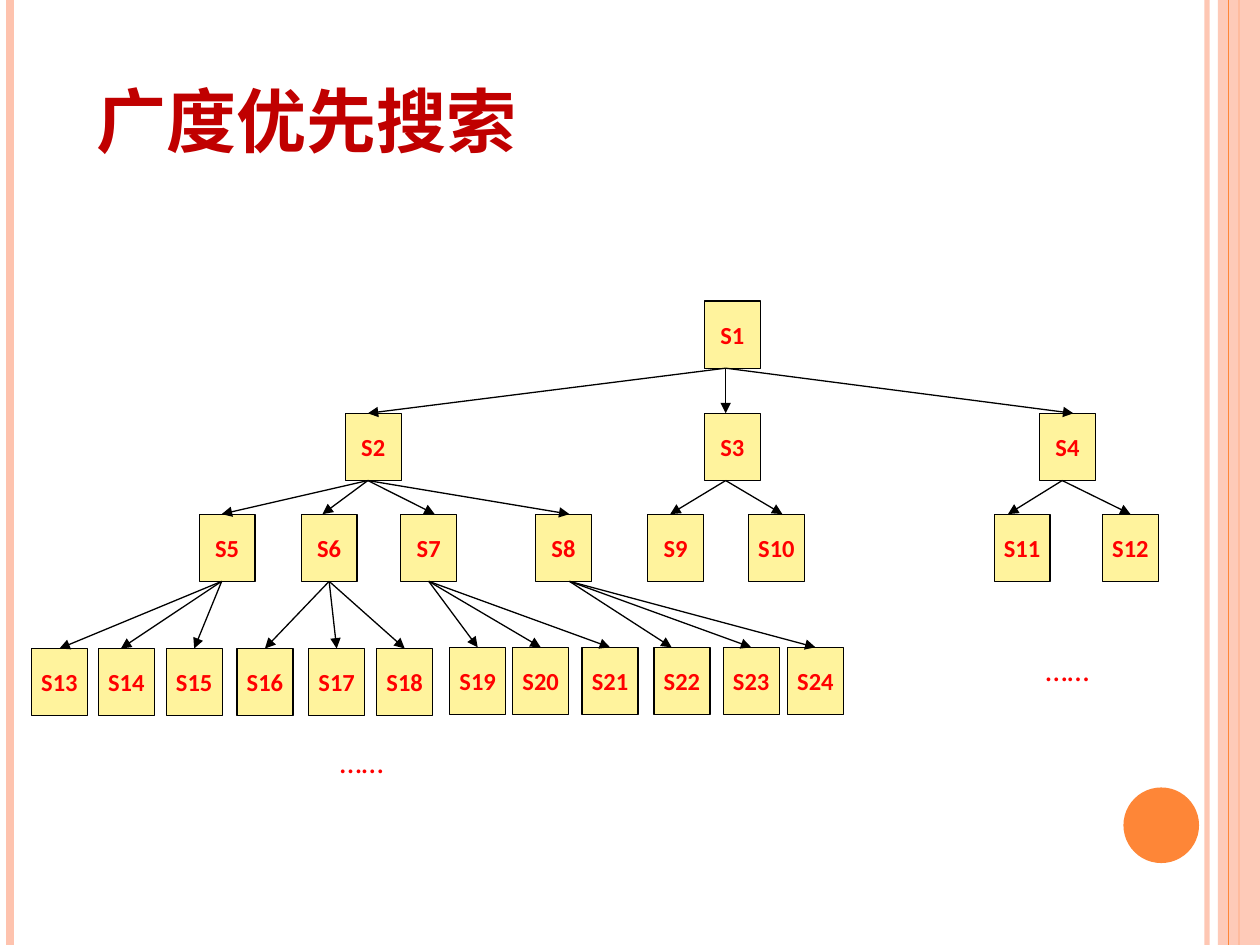
from dataclasses import dataclass

from lxml import etree
from pptx import Presentation
from pptx.dml.color import RGBColor
from pptx.enum import shapes, text
from pptx.oxml.ns import qn
from pptx.util import Pt


@dataclass(frozen=True)
class Theme:
    peach: str = "FEC3AE"
    orange: str = "FE8637"
    cream: str = "FFF39D"
    black: str = "000000"
    red: str = "FF0000"
    dark: str = "C00000"
    head: str = "TeX Gyre Schola"
    body: str = "Calibri"
    big: float = 40
    mid: float = 18
    small: float = 14
    thin: float = 0.75


THEME = Theme()
WIDE, HIGH = 32, 38.4
NEAR = 2.2
ROWS = [
    (0, {1: (384.5, 384.5)}),
    (64.2, {2: (179.3, 192.2), 3: (384.5, 396.7), 4: (576, 595.4)}),
    (121.8, {5: (95.8, 108.7), 6: (154.1, 166.3), 7: (211, 230.4),
             8: (288, 307.4), 9: (352.1, 365), 10: (409.7, 429.1),
             11: (550.1, 558), 12: (612, 630)}),
    (198.6, {13: (0, 14.4), 14: (38.2, 51.1), 15: (77, 95),
             16: (117.4, 131.8), 17: (158.4, 175.7), 18: (197.3, 212.4)}),
    (197.9, {19: (239, 256.3), 20: (275, 293), 21: (314.6, 329),
             22: (355.7, 365.8), 23: (395.3, 409.7), 24: (432, 446.4)}),
]
KIDS = {1: (396.7, range(2, 5)), 2: (192.2, range(5, 9)),
        3: (396.7, range(9, 11)), 4: (589, range(11, 13)),
        5: (108.7, range(13, 16)), 6: (168.5, range(16, 19)),
        7: (226.8, range(19, 22)), 8: (307.4, range(22, 25))}
DOTS = [(572.4, 196), (169.2, 248.5)]


def style(item, **vals):
    for key, val in vals.items():
        setattr(item, key, val)


def write(frame, words, font, size, color, bold, align):
    frame.text = words
    para = frame.paragraphs[0]
    para.alignment = align
    style(para.font, name=font, size=Pt(size), bold=bold)
    para.font.color.rgb = RGBColor.from_string(color)


def fade(fill, share):
    color = fill._xPr.find(".//" + qn("a:srgbClr"))
    etree.SubElement(color, qn("a:alpha"), val=str(share * 1000))


def add_line(slide, start, end, color, width, arrow=False):
    line = slide.shapes.add_connector(
        shapes.MSO_CONNECTOR.STRAIGHT, *map(Pt, (*start, *end)))
    line.line.color.rgb = RGBColor.from_string(color)
    line.line.width = Pt(width)
    props = line._element.spPr
    if arrow:
        etree.SubElement(props.find(qn("a:ln")), qn("a:tailEnd"), type="triangle")
    etree.SubElement(props, qn("a:effectLst"))
    return line


def add_box(slide, kind, box, fill):
    item = slide.shapes.add_shape(kind, *map(Pt, box))
    item.shadow.inherit = False
    item.fill.solid()
    item.fill.fore_color.rgb = RGBColor.from_string(fill)
    item.line.fill.background()
    return item


def draw_trim(slide, box):
    left, top, wide, high = box
    right, foot = left + wide, top + high

    def rule(pos, color, width):
        return add_line(slide, (pos, top), (pos, foot), color, width)

    pale = rule(right - 30.25, THEME.peach, 3)
    fade(pale.line.fill, 93)
    rule(left + 5.9, THEME.peach, 4.5)
    rule(right - 12, THEME.orange, 1.5)
    band = add_box(slide, shapes.MSO_SHAPE.RECTANGLE,
                   (right - 24, top, 24, high), THEME.peach)
    fade(band.fill, 87)
    rule(right - 18, THEME.orange, THEME.thin)
    add_box(slide, shapes.MSO_SHAPE.OVAL,
            (right - 78, foot - 90, 43.2, 43.2), THEME.orange)


def draw_title(slide, box, words):
    title = slide.shapes.title
    style(title, **dict(zip(("left", "top", "width", "height"), map(Pt, box))))
    style(title.text_frame, vertical_anchor=text.MSO_ANCHOR.BOTTOM,
          word_wrap=True, auto_size=text.MSO_AUTO_SIZE.NONE)
    write(title.text_frame, words, THEME.head, THEME.big, THEME.dark,
          True, text.PP_ALIGN.LEFT)


def add_node(slide, left, top, words):
    node = add_box(slide, shapes.MSO_SHAPE.RECTANGLE,
                   (left, top, WIDE, HIGH), THEME.cream)
    node.line.color.rgb = RGBColor.from_string(THEME.black)
    node.line.width = Pt(THEME.thin)
    style(node.text_frame, word_wrap=False, vertical_anchor=text.MSO_ANCHOR.MIDDLE)
    write(node.text_frame, words, THEME.body, THEME.small, THEME.red,
          True, text.PP_ALIGN.CENTER)
    return node


def draw_tree(slide, left, top):
    nodes, spots = {}, {}
    for drop, row in ROWS:
        for num, (edge, tip) in row.items():
            spots[num] = edge, tip, drop
            nodes[num] = add_node(slide, left + edge, top + drop, f"S{num}")

    for num, (out, kids) in KIDS.items():
        edge, _, drop = spots[num]
        for kid in kids:
            side, tip, fall = spots[kid]
            line = add_line(slide, (left + out, top + drop + HIGH),
                            (left + tip, top + fall), THEME.black, THEME.thin, True)
            if abs(edge + WIDE / 2 - out) < NEAR:
                line.begin_connect(nodes[num], 2)
            if abs(side + WIDE / 2 - tip) < NEAR:
                line.end_connect(nodes[kid], 0)

    for edge, drop in DOTS:
        more = slide.shapes.add_textbox(*map(Pt, (left + edge, top + drop, 52.6, 28.8)))
        more.text_frame.word_wrap = True
        write(more.text_frame, "……", THEME.body, THEME.mid, THEME.red,
              False, text.PP_ALIGN.LEFT)


def main():
    deck = Presentation()
    style(deck, slide_width=Pt(720), slide_height=Pt(540))
    slide = deck.slides.add_slide(deck.slide_layouts[5])
    draw_trim(slide, (0, 0, 720, 540))
    draw_title(slide, (48, 0, 630, 96), "广度优先搜索")
    draw_tree(slide, 18, 172)
    deck.save("out.pptx")


if __name__ == "__main__":
    main()
